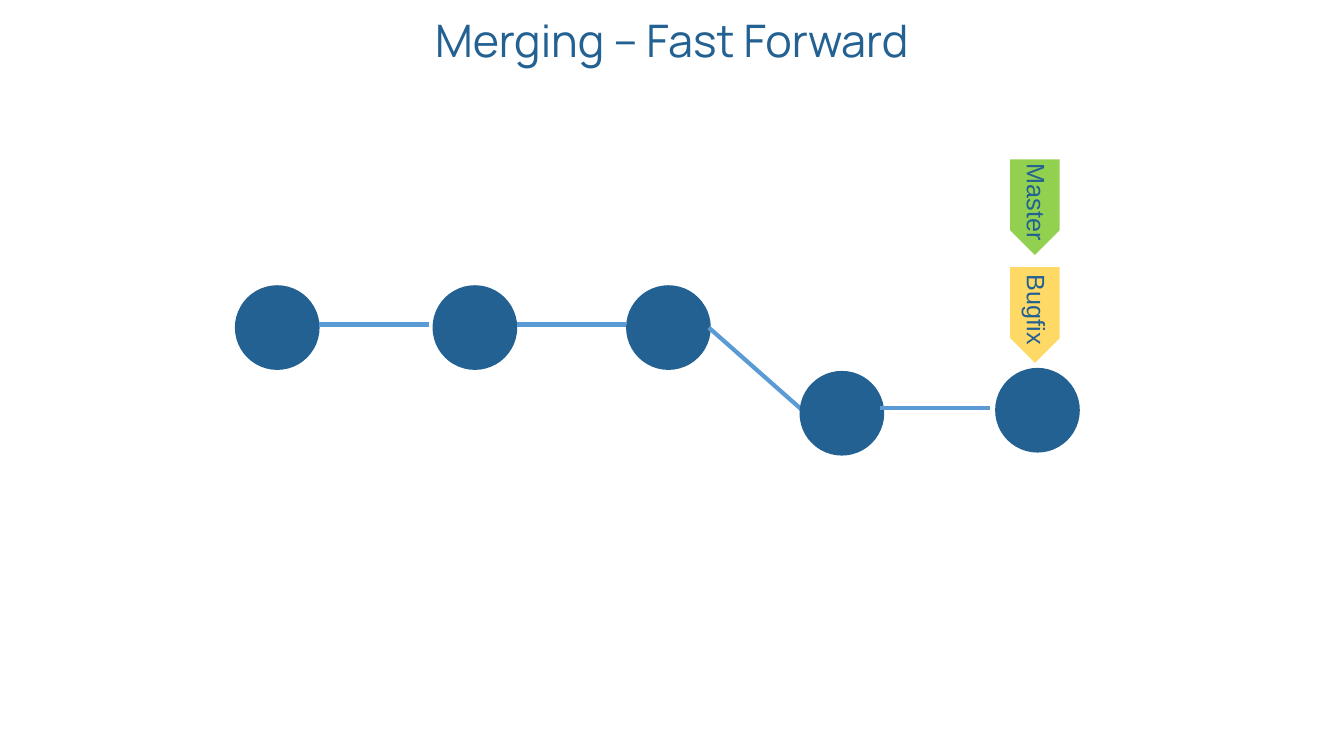
"""Build the slide showing a fast-forward merge as a commit graph with branch tags."""
import pptx
import pptx.dml.color
import pptx.enum.shapes
import pptx.enum.text
import pptx.oxml.ns
import pptx.util
from lxml import etree

Inches = pptx.util.Inches
Pt = pptx.util.Pt
SHAPE = pptx.enum.shapes.MSO_SHAPE
ALIGN = pptx.enum.text.PP_ALIGN
NAVY = pptx.dml.color.RGBColor(0x23, 0x61, 0x92)
BLUE = pptx.dml.color.RGBColor(0x5B, 0x9B, 0xD5)
GREEN = pptx.dml.color.RGBColor(0x92, 0xD0, 0x50)
YELLOW = pptx.dml.color.RGBColor(0xFF, 0xD9, 0x66)
DIAMETER = 0.84


def add_filled(kind, box, color):
    sp = s.shapes.add_shape(kind, *map(Inches, box))
    sp.shadow.inherit = False
    sp.fill.solid()
    sp.fill.fore_color.rgb = color
    sp.line.fill.background()
    return sp


def add_text(box, text, font, wrap):
    sp = s.shapes.add_textbox(*map(Inches, box))
    tf = sp.text_frame
    tf.word_wrap = wrap
    tf.vertical_anchor = pptx.enum.text.MSO_ANCHOR.MIDDLE
    p = tf.paragraphs[0]
    p.alignment = ALIGN.CENTER
    p.line_spacing = 0.9
    r = p.add_run()
    r.text = text
    for name, value in font.items():
        setattr(r.font, name, value)
    r.font.color.rgb = NAVY
    return sp


prs = pptx.Presentation()
prs.slide_width, prs.slide_height = Inches(13.33), Inches(7.5)
s = prs.slides.add_slide(prs.slide_layouts[6])

add_text((0, 0.13, 13.33, 0.59), "Merging – Fast Forward",
         {"name": "Manrope", "size": Pt(32)}, True)

commits = [
    ((2.33, 2.83), (3.16, 3.22, 4.25, 3.22)),
    ((4.29, 2.83), (5.13, 3.22, 6.21, 3.22)),
    ((6.21, 2.83), (7.03, 3.25, 7.97, 4.08)),
    ((7.93, 3.68), (8.73, 4.05, 9.82, 4.05)),
    ((9.87, 3.65), None),
]
for (left, top), link in commits:
    add_filled(SHAPE.OVAL, (left, top, DIAMETER, DIAMETER), NAVY)
    if link:
        line = s.shapes.add_connector(
            pptx.enum.shapes.MSO_CONNECTOR.STRAIGHT, *map(Inches, link))
        line.line.color.rgb = BLUE
        line.line.width = Pt(3)
        etree.SubElement(line._element.spPr, pptx.oxml.ns.qn("a:effectLst"))

for branch, top, color in [("Master", 1.81, GREEN), ("Bugfix", 2.88, YELLOW)]:
    tag = add_filled(SHAPE.PENTAGON, (9.79, top, 0.95, 0.49), color)
    label = add_text((9.78, top + 0.01, 0.97, 0.37), branch,
                     {"name": "Arial", "size": Pt(18)}, False)
    tag.rotation = label.rotation = 90

prs.save("out.pptx")
